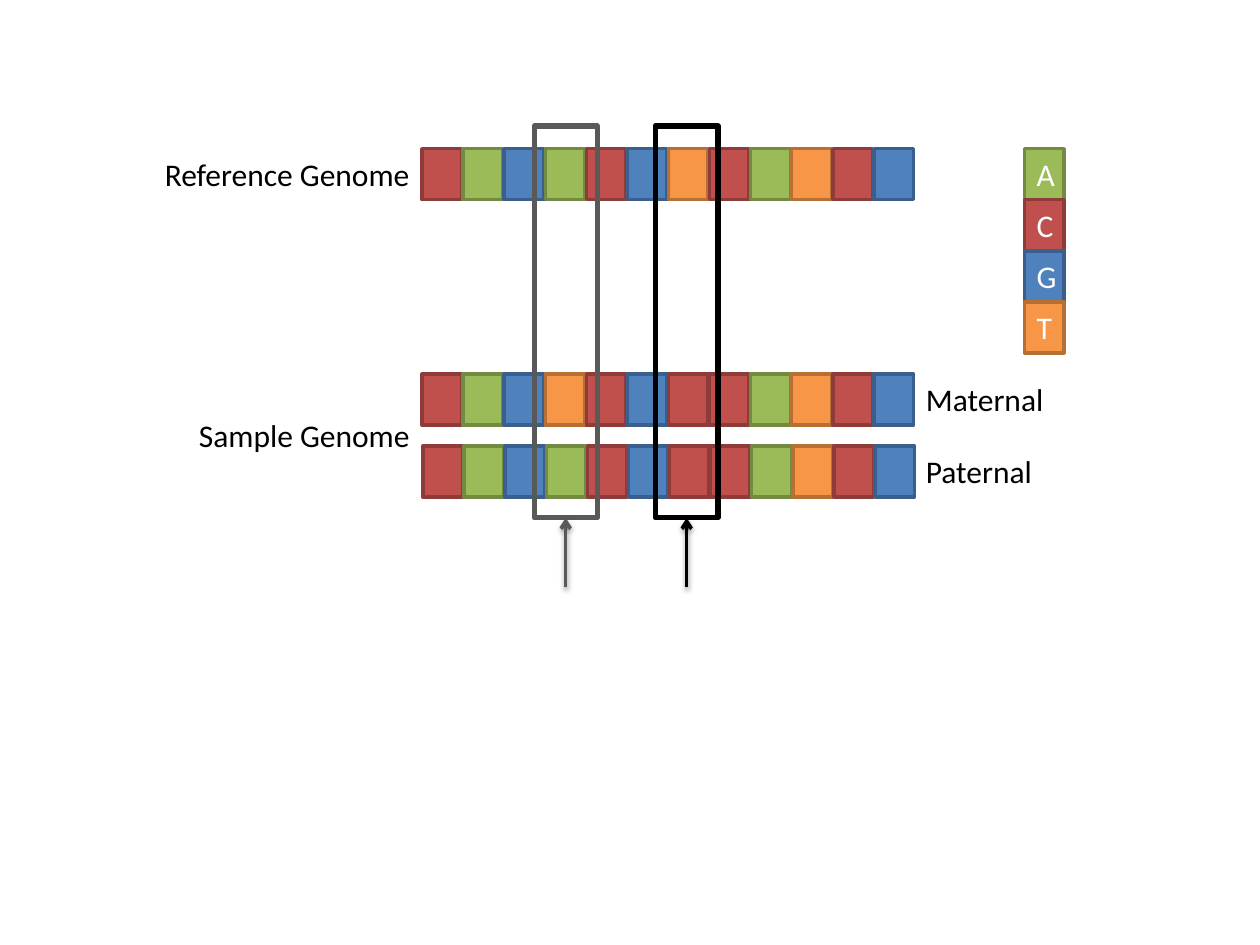
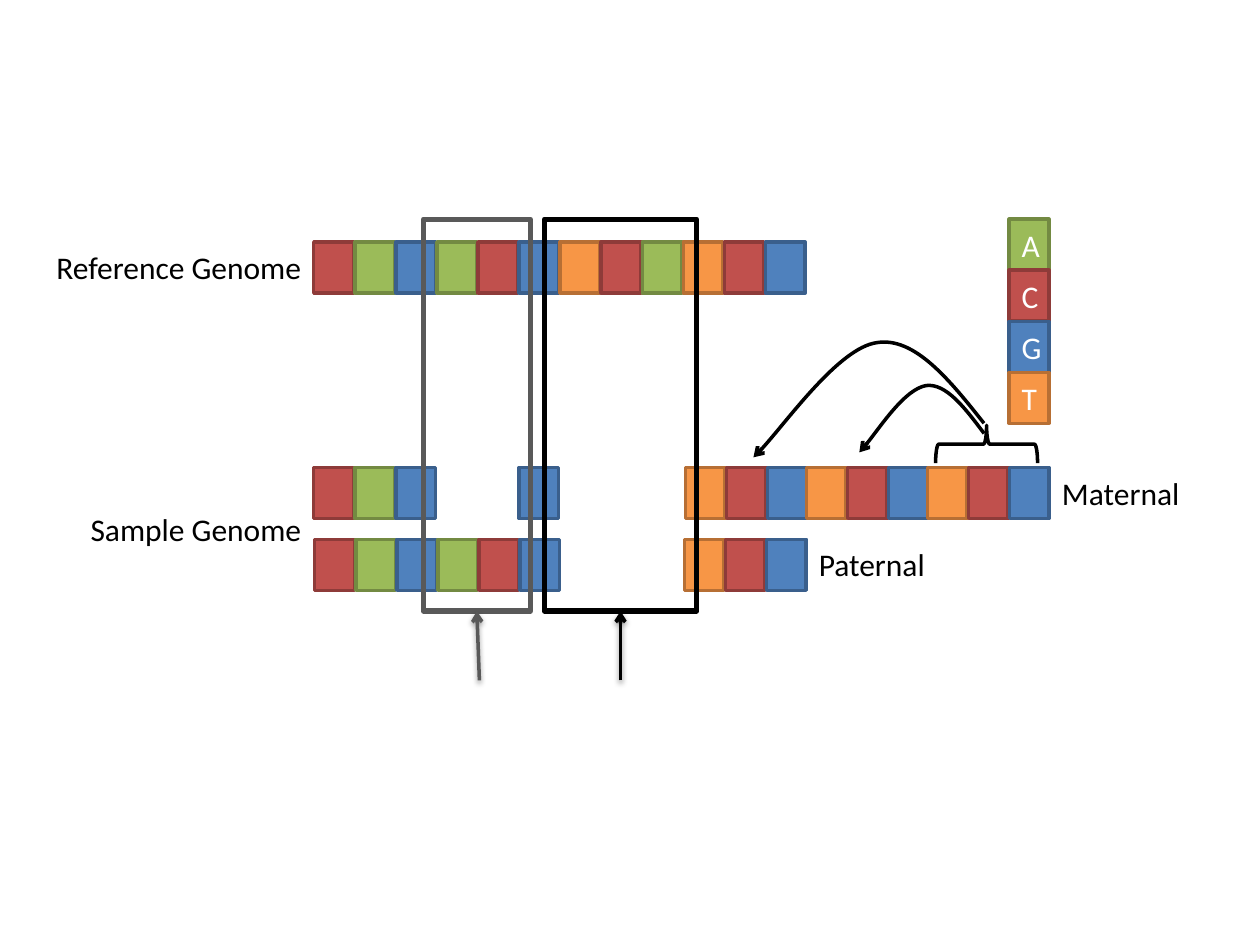
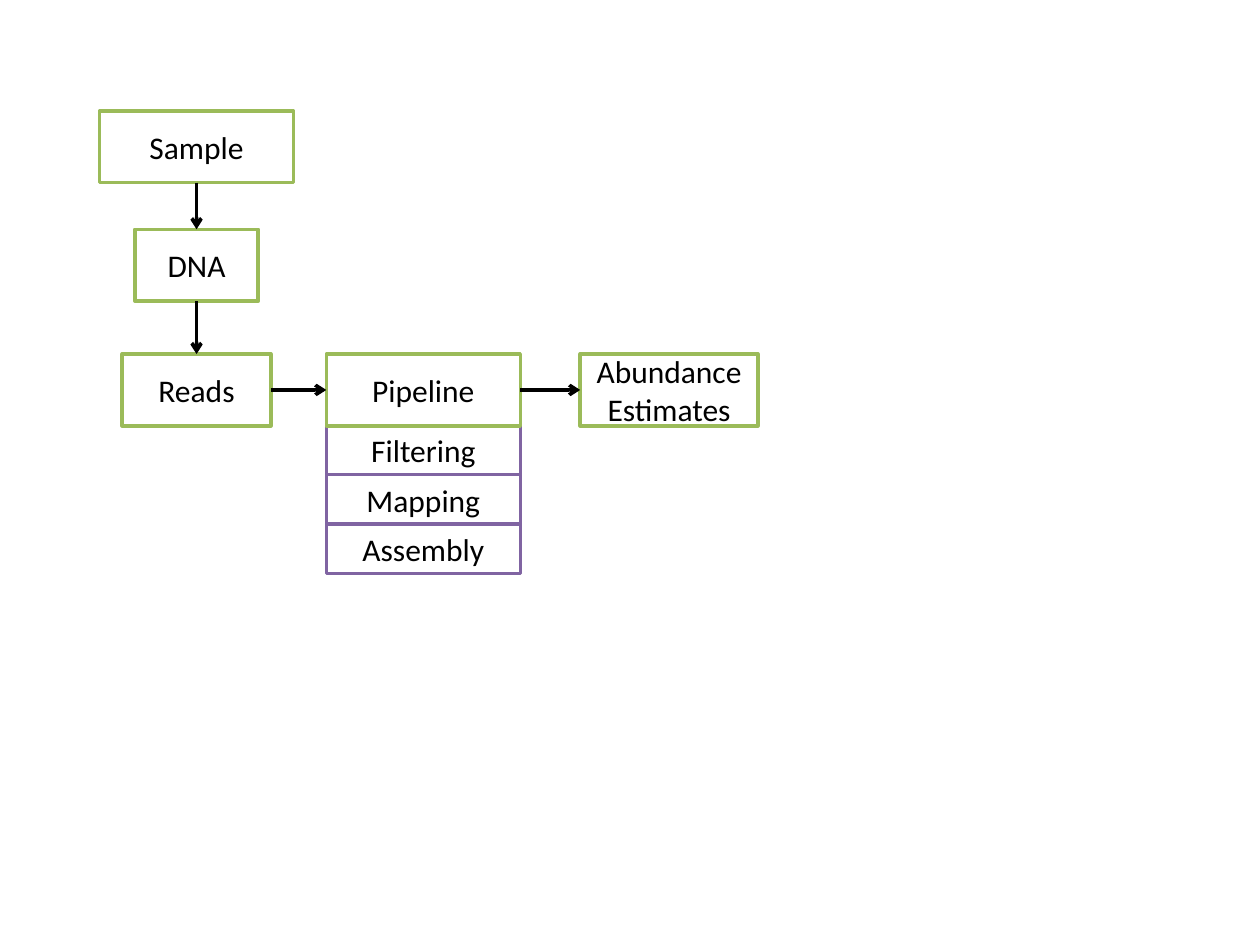
"""Builds three slides on genome variants and a sequencing workflow."""
from lxml import etree
from pptx import Presentation
from pptx import util as u
from pptx.dml.color import RGBColor
from pptx.enum import shapes, text
from pptx.oxml import ns

COLORS = {
    "black": "000000", "white": "FFFFFF", "grey": "595959",
    "green": "9BBB59", "purple": "8064A2",
}
BASES = {
    "A": ("9BBB59", "738A42"), "C": ("C0504D", "8E3B39"),
    "G": ("4F81BD", "3A5F8C"), "T": ("F79646", "B76F34"),
}
COLUMNS, ROWS = 100, 75
BASE_WIDTH, BASE_HEIGHT, BASE_STEP = 3.15, 4.05, 3.26
TRIPLET_STEP = 9.6


def write(frame, words, size=18, color="black", align="CENTER", anchor="MIDDLE"):
    """Fill a text frame with formatted words."""
    frame.word_wrap = True
    frame.vertical_anchor = getattr(text.MSO_ANCHOR, anchor)
    paragraph = frame.paragraphs[0]
    paragraph.alignment = getattr(text.PP_ALIGN, align)
    run = paragraph.add_run()
    run.text = words
    run.font.name = "Calibri"
    run.font.size = u.Pt(size)
    run.font.color.rgb = RGBColor.from_string(COLORS[color])


def child(parent, tag, **attributes):
    """Append a drawing element to its parent."""
    return etree.SubElement(parent, ns.qn(tag), attributes)


class Sheet:
    """Holds the deck's style, its grid and the current slide."""

    def __init__(self):
        """Open an empty deck."""
        self.deck = Presentation()
        self.deck.slide_width, self.deck.slide_height = u.Inches(10), u.Inches(7.5)
        self.slide = None

    def new(self):
        """Start a blank slide."""
        self.slide = self.deck.slides.add_slide(self.deck.slide_layouts[6])

    def place(self, *lengths):
        """Turn alternating columns and rows into slide lengths."""
        units = (self.deck.slide_width / COLUMNS, self.deck.slide_height / ROWS)
        return [round(length * units[i % 2]) for i, length in enumerate(lengths)]

    def outline(self, shape, line, weight=2, fill=None):
        """Give a shape its line and fill."""
        shape.shadow.inherit = False
        shape.line.color.rgb = RGBColor.from_string(line)
        shape.line.width = u.Pt(weight)
        if fill:
            shape.fill.solid()
            shape.fill.fore_color.rgb = RGBColor.from_string(fill)
        else:
            shape.fill.background()

    def box(self, at, line, weight=2, fill=None, words="", color="black",
            kind="RECTANGLE", owner=None):
        """Draw a preset shape, with words if given."""
        shape = (owner or self.slide).shapes.add_shape(
            getattr(shapes.MSO_SHAPE, kind), *self.place(*at))
        self.outline(shape, line, weight, fill)
        if words:
            write(shape.text_frame, words, color=color)
        return shape

    def label(self, at, words, align="LEFT"):
        """Place a free line of text."""
        frame = self.slide.shapes.add_textbox(*self.place(*at)).text_frame
        write(frame, words, align=align, anchor="TOP")
        frame.auto_size = text.MSO_AUTO_SIZE.SHAPE_TO_FIT_TEXT

    def strip(self, left, top, sequence):
        """Draw a row of bases, leaving a gap for each blank."""
        group = self.slide.shapes.add_group_shape()
        for i, base in enumerate(sequence):
            if base != " ":
                fill, line = BASES[base]
                self.box((left + i * BASE_STEP, top, BASE_WIDTH, BASE_HEIGHT),
                         line, fill=fill, owner=group)

    def legend(self, left, top):
        """Stack the lettered key of bases."""
        group = self.slide.shapes.add_group_shape()
        for i, (base, (fill, line)) in enumerate(BASES.items()):
            self.box((left, top + i * BASE_HEIGHT, BASE_WIDTH, BASE_HEIGHT), line,
                     fill=fill, words=base, color="white", owner=group)

    def arrow(self, start=(0, 0), end=(0, 0), color="black", shadow=False):
        """Draw a straight arrow."""
        line = self.slide.shapes.add_connector(
            shapes.MSO_CONNECTOR.STRAIGHT, *self.place(*start, *end))
        line.line.color.rgb = RGBColor.from_string(COLORS[color])
        line.line.width = u.Pt(2)
        child(line.line._get_or_add_ln(), "a:tailEnd", type="arrow")
        effects = child(line._element.spPr, "a:effectLst")
        if shadow:
            outer = child(effects, "a:outerShdw", blurRad="40000", dist="20000",
                          dir="5400000", rotWithShape="0")
            child(child(outer, "a:srgbClr", val=COLORS["black"]), "a:alpha", val="38000")
        return line

    def link(self, source, target, sides):
        """Join two boxes by an arrow between the given sides."""
        line = self.arrow()
        line.begin_connect(source, sides[0])
        line.end_connect(target, sides[1])

    def curve(self, start, *controls):
        """Draw a curved arrow through cubic control points."""
        builder = self.slide.shapes.build_freeform(*self.place(*start))
        builder.add_line_segments([self.place(*point) for point in controls], close=False)
        shape = builder.convert_to_shape()
        self.outline(shape, COLORS["black"])
        child(shape.line._get_or_add_ln(), "a:tailEnd", type="arrow")
        segments = shape._element.xpath(".//a:lnTo")
        for i in range(0, len(segments), 3):
            bezier = child(segments[i].getparent(), "a:cubicBezTo")
            for segment in segments[i:i + 3]:
                bezier.append(segment[0])
                segment.getparent().remove(segment)

    def variant(self, left, top, width, color, lean=0):
        """Frame a variant site and point at it from below."""
        height, middle = 31.1, left + width / 2
        self.box((left, top, width, height), COLORS[color], weight=3)
        self.arrow((middle + lean, top + height + 5.5), (middle, top + height),
                   color, shadow=True)

    def genomes(self, left, top, maternal, paternal, ends):
        """Compare the reference genome with both sample strands."""
        rows = {"Maternal": top + 17.9, "Paternal": top + 23.6}
        for name, row in (("Reference Genome", top), ("Sample Genome", top + 20.75)):
            self.label((left - 21.7, row, 21.7, 4), name, align="RIGHT")
        self.strip(left, top, "CAGACGTCATCG")
        self.strip(left, rows["Maternal"], maternal)
        self.strip(left + 0.08, rows["Paternal"], paternal)
        for (name, row), end in zip(rows.items(), ends):
            self.label((end, row, 12.1, 4), name)


def point_variants(sheet):
    """Show single base changes."""
    sheet.new()
    sheet.genomes(33.5, 11.8, "CAGTCGCCATCG", "CAGACGCCATCG", (72.5, 72.5))
    sheet.legend(81.3, 11.8)
    sheet.variant(52, 10, 5, "black")
    sheet.variant(42.4, 10, 5, "grey")


def structural_variants(sheet):
    """Show deletions and a repeated triplet."""
    sheet.new()
    sheet.genomes(24.9, 19.2, "CAG  G", "CAGACG   TCG", (83.3, 64))
    for i in range(3):
        sheet.strip(54.4 + i * TRIPLET_STEP, 37.1, "TCG")
    sheet.variant(33.6, 17.4, 8.5, "grey", lean=0.2)
    brace = sheet.box((76.8, 31.2, 3, 8.1), COLORS["black"], kind="RIGHT_BRACE")
    brace.rotation = 270
    sheet.curve((78.1, 33.6), (75.4, 30.2), (72.6, 26.7), (69.6, 27.2),
                (66.6, 27.6), (61.5, 34.8), (59.8, 36.3))
    sheet.curve((78.1, 34.4), (76.6, 32.4), (75.1, 30.4), (73.5, 30.6),
                (71.8, 30.9), (69.1, 35), (68.2, 35.9))
    sheet.variant(43.2, 17.4, 12.1, "black")
    sheet.legend(80.1, 17.4)


def workflow(sheet):
    """Show the path from sample to abundance estimates."""
    sheet.new()

    def step(words, middle, top, width, height=5.7, line="green"):
        """Draw one step centred on a column."""
        return sheet.box((middle - width / 2, top, width, height), COLORS[line],
                         fill=COLORS["white"], words=words)

    sample = step("Sample", 15.6, 8.8, 15.4)
    dna = step("DNA", 15.6, 18.2, 9.8)
    reads = step("Reads", 15.6, 28.1, 11.8)
    for i, stage in enumerate(("Filtering", "Mapping", "Assembly")):
        step(stage, 33.6, 33.75 + i * 3.93, 15.4, 3.93, "purple")
    pipeline = step("Pipeline", 33.6, 28.1, 15.4)
    estimates = step("Abundance Estimates", 53.1, 28.1, 14.1)
    down, across = (2, 0), (3, 1)
    sheet.link(sample, dna, down)
    sheet.link(dna, reads, down)
    sheet.link(reads, pipeline, across)
    sheet.link(pipeline, estimates, across)


def main():
    """Build and save the deck."""
    sheet = Sheet()
    for build in (point_variants, structural_variants, workflow):
        build(sheet)
    sheet.deck.save("out.pptx")


if __name__ == "__main__":
    main()
